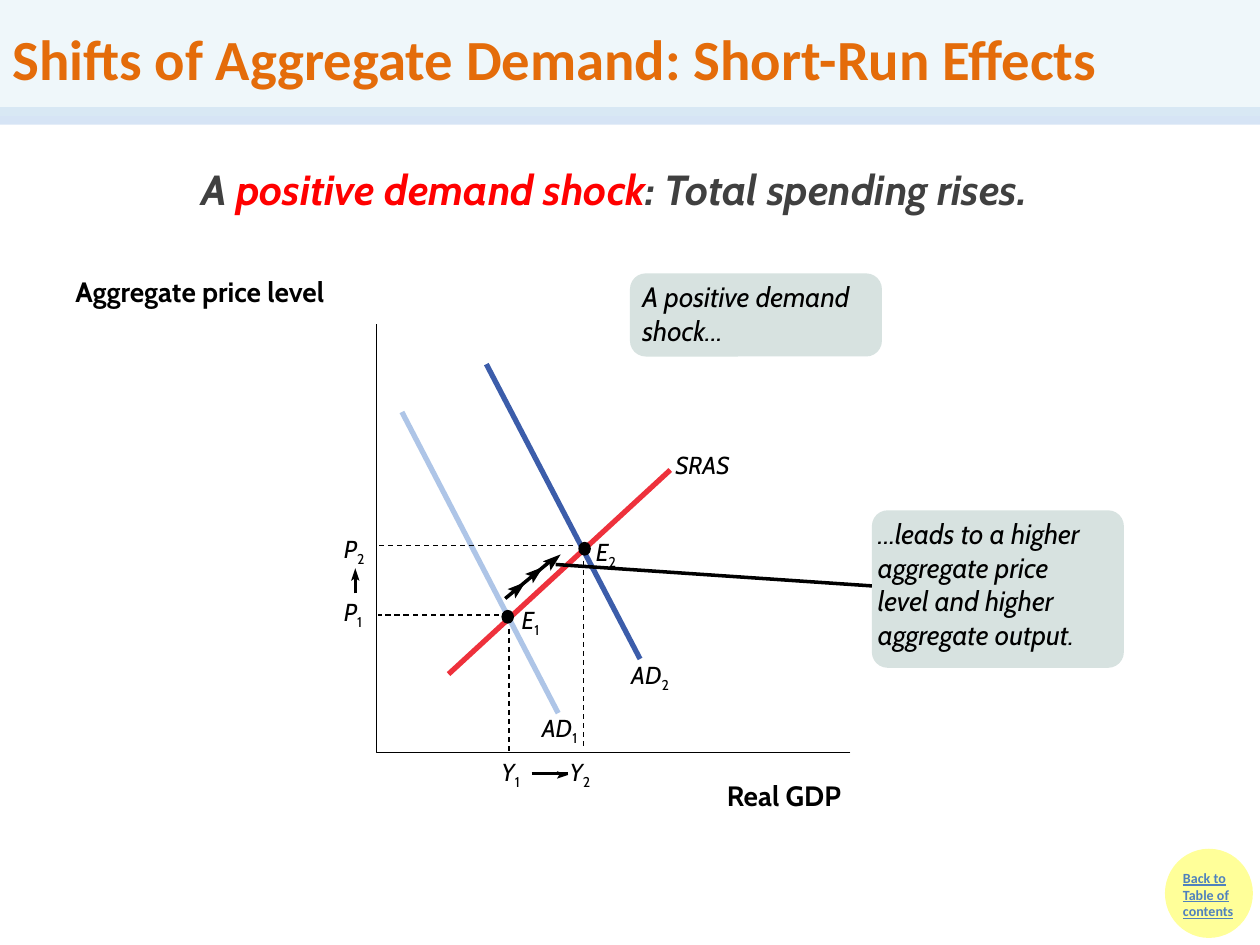
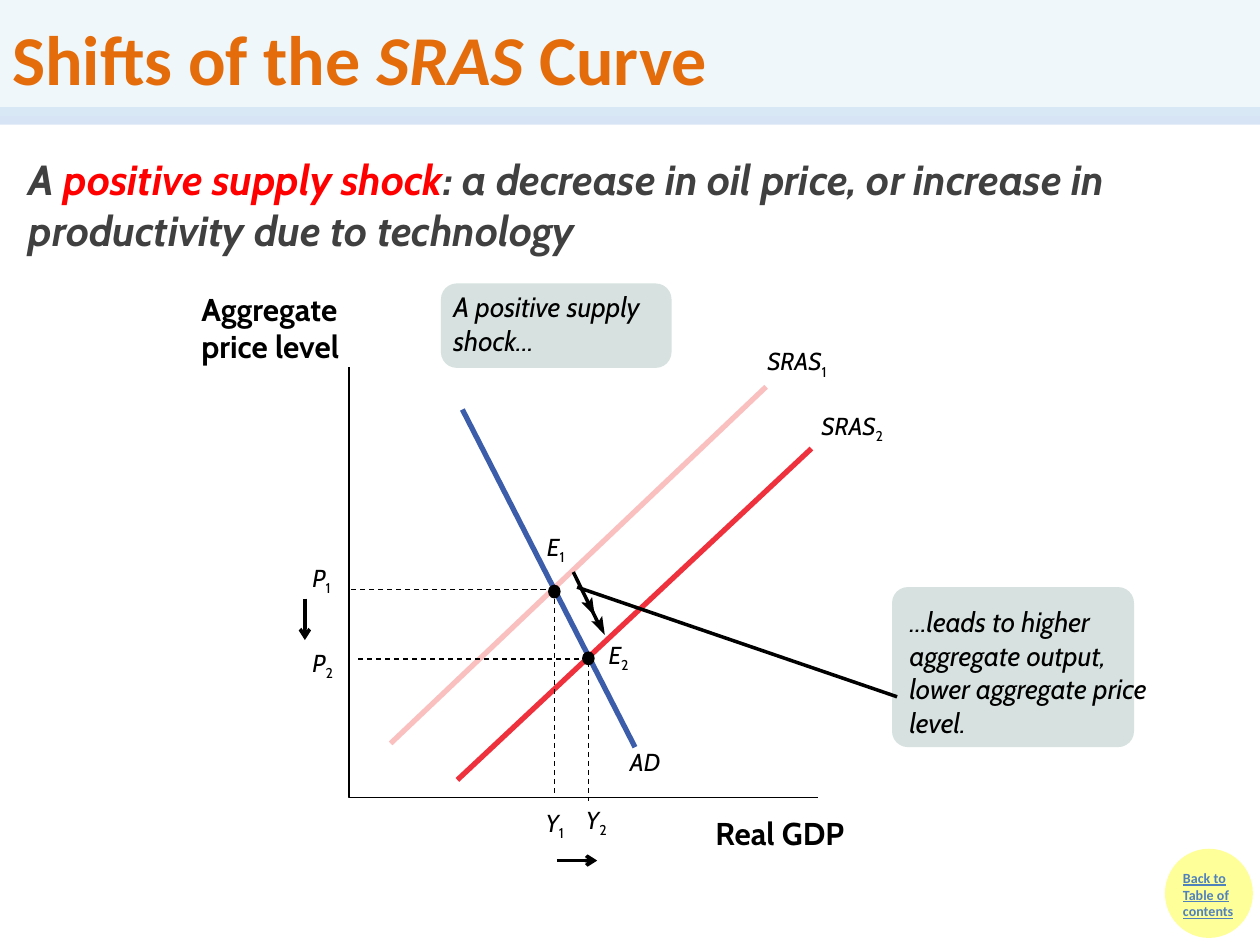
from dataclasses import dataclass
from math import hypot

from lxml import etree
from pptx import Presentation
from pptx import util as u
from pptx.dml.color import RGBColor
from pptx.enum import dml, shapes, text
from pptx.oxml.ns import qn

COLUMNS, ROWS = 100, 75  # the grid laid over each slide
WIDTH, HEIGHT = u.Inches(10), u.Inches(7.5)
Point = tuple[float, float]
Area = tuple[float, float, float, float]  # column, row, columns, rows


@dataclass(frozen=True)
class Theme:
    ink: str = "000000"
    body: str = "404040"
    accent: str = "FF0000"
    title: str = "E46C0A"
    title_fill: str = "DBEEF4"
    band: str = "C6D9F1"
    badge: str = "FFFF99"
    link: str = "4F81BD"
    callout: str = "D7E2E0"
    demand: str = "3C5DAA"
    old_demand: str = "AEC5E7"
    supply: str = "EE313C"
    old_supply: str = "FAC0BF"
    heading_font: str = "Calibri"
    body_font: str = "Cabin"
    lead_size: float = 24
    callout_size: float = 16
    label_size: float = 14
    badge_size: float = 8
    hairline: float = 0
    guide: float = 0.75
    curve: float = 3
    band_width: float = 10


THEME = Theme()


@dataclass(frozen=True)
class Span:
    text: str
    color: str = THEME.ink
    italic: bool = False
    subscript: bool = False


@dataclass(frozen=True)
class Curve:
    start: Point
    end: Point
    color: str


@dataclass(frozen=True)
class Arrow:
    """A thin arrow: solid heads at the given tips, or an open head at its end."""
    start: Point
    end: Point
    tips: tuple[Point, ...] = ()
    head: float = 1.45


@dataclass(frozen=True)
class Label:
    at: Point
    letters: str
    index: str = ""
    width: float = 2.1


@dataclass(frozen=True)
class Caption:
    area: Area
    text: str


@dataclass(frozen=True)
class Callout:
    panel: Area
    text_area: Area
    lines: tuple[str, ...]
    pointer: tuple[Point, Point] | None = None


@dataclass(frozen=True)
class Diagram:
    title: tuple[Span, ...]
    title_size: float
    lead: tuple[Span, ...]
    lead_area: Area
    axes: tuple[Point, Point, Point]
    curves: tuple[Curve, ...]
    guides: tuple[tuple[Point, Point], ...]
    equilibria: tuple[Point, ...]
    arrows: tuple[Arrow, ...]
    labels: tuple[Label, ...]
    caption_size: float
    captions: tuple[Caption, ...]
    callouts: tuple[Callout, ...]


# Grid and formatting helpers
def col(n: float) -> int:
    return round(WIDTH * n / COLUMNS)


def row(n: float) -> int:
    return round(HEIGHT * n / ROWS)


def place(area: Area) -> tuple[int, int, int, int]:
    left, top, width, height = area
    return col(left), row(top), col(width), row(height)


def apply(target, values: dict) -> None:
    for name, value in values.items():
        setattr(target, name, value)


def paint(fill, color: str, alpha: int = 100) -> None:
    fill.solid()
    fill.fore_color.rgb = RGBColor.from_string(color)
    if alpha < 100:
        rgb = fill._xPr.find(".//" + qn("a:srgbClr"))
        etree.SubElement(rgb, qn("a:alpha"), val=str(alpha * 1000))


def add_panel(page, kind, area: Area, color: str, alpha: int = 100):
    panel = page.shapes.add_shape(kind, *place(area))
    panel.shadow.inherit = False
    paint(panel.fill, color, alpha)
    panel.line.fill.background()
    return panel


def add_line(page, start: Point, end: Point, color: str = THEME.ink,
             width: float = THEME.hairline, alpha: int = 100):
    line = page.shapes.add_connector(shapes.MSO_CONNECTOR.STRAIGHT, col(start[0]),
                                     row(start[1]), col(end[0]), row(end[1]))
    line.line.width = u.Pt(width)
    paint(line.line.fill, color, alpha)
    etree.SubElement(line._element.spPr, qn("a:effectLst"))
    return line


def add_outline(page, points: list[Point], closed: bool):
    grid = [(col(x), row(y)) for x, y in points]
    builder = page.shapes.build_freeform(*grid[0])
    builder.add_line_segments(grid[1:], close=closed)
    outline = builder.convert_to_shape()
    outline.shadow.inherit = False
    return outline


def write(box, paragraphs: list[tuple[Span, ...]], size: float, **formats) -> None:
    values = {"name": THEME.body_font, "size": u.Pt(size)} | formats
    for number, spans in enumerate(paragraphs):
        para = box.text_frame.paragraphs[0] if number == 0 else box.text_frame.add_paragraph()
        para.alignment = text.PP_ALIGN.LEFT
        for part in spans:
            span = para.add_run()
            span.text = part.text
            apply(span.font, {"italic": part.italic} | values)
            span.font.color.rgb = RGBColor.from_string(part.color)
            if part.subscript:
                span._r.get_or_add_rPr().set("baseline", "-25000")


def add_text(page, area: Area, paragraphs: list[tuple[Span, ...]], size: float,
             wrap: bool = True, inset: bool = True, **formats) -> None:
    box = page.shapes.add_textbox(*place(area))
    frame = {"word_wrap": wrap, "auto_size": text.MSO_AUTO_SIZE.SHAPE_TO_FIT_TEXT}
    if not inset:
        frame |= dict.fromkeys(("margin_left", "margin_top", "margin_right", "margin_bottom"), 0)
    apply(box.text_frame, frame)
    write(box, paragraphs, size, **formats)


# Parts of a slide
def add_frame(page, title: tuple[Span, ...], size: float) -> None:
    add_line(page, (0, 9.2), (COLUMNS, 9.2), THEME.band, THEME.band_width, 71)
    badge = add_panel(page, shapes.MSO_SHAPE.OVAL, (92.6, 67.5, 6.7, 6.8), THEME.badge)
    paint(badge.line.fill, THEME.badge)
    badge.line.width = u.Pt(2)
    add_text(page, (92.9, 68.5, 7.2, 6.7), [(Span("Back to Table of contents", THEME.link),)],
             THEME.badge_size, name=THEME.heading_font, bold=True, underline=True)
    header = add_panel(page, shapes.MSO_SHAPE.RECTANGLE, (0, 0, COLUMNS, 9.2),
                       THEME.title_fill, 44)
    apply(header.text_frame, {"word_wrap": True, "vertical_anchor": text.MSO_ANCHOR.MIDDLE})
    write(header, [title], size, name=THEME.heading_font, bold=True)


def add_arrow(page, arrow: Arrow) -> None:
    line = add_line(page, arrow.start, arrow.end)
    if not arrow.tips:
        etree.SubElement(line.line._get_or_add_ln(), qn("a:tailEnd"), type="arrow")
    dx, dy = arrow.end[0] - arrow.start[0], arrow.end[1] - arrow.start[1]
    dx, dy = dx / hypot(dx, dy), dy / hypot(dx, dy)
    for x, y in arrow.tips:
        shares = [(0, 0), (1, 0.33), (0.8, 0), (1, -0.33)]  # back from the tip, sideways
        head = add_outline(page, [(x - arrow.head * (back * dx + side * dy),
                                   y - arrow.head * (back * dy - side * dx))
                                  for back, side in shares], closed=True)
        paint(head.fill, THEME.ink)
        head.line.fill.background()


def add_callout(page, callout: Callout) -> None:
    panel = add_panel(page, shapes.MSO_SHAPE.ROUNDED_RECTANGLE, callout.panel, THEME.callout)
    panel.adjustments[0] = 1.25 / min(callout.panel[2:])
    if callout.pointer:
        add_line(page, *callout.pointer)
    add_text(page, callout.text_area, [(Span(line),) for line in callout.lines],
             THEME.callout_size, italic=True)


def add_diagram(deck, diagram: Diagram) -> None:
    page = deck.slides.add_slide(deck.slide_layouts[6])
    add_frame(page, diagram.title, diagram.title_size)
    add_text(page, diagram.lead_area, [diagram.lead], THEME.lead_size, bold=True, italic=True)
    # Axes, curves and guides
    axes = add_outline(page, list(diagram.axes), closed=False)
    axes.fill.background()
    paint(axes.line.fill, THEME.ink)
    axes.line.width = u.Pt(THEME.hairline)
    for curve in diagram.curves:
        add_line(page, curve.start, curve.end, curve.color, THEME.curve)
    for start, end in diagram.guides:
        guide = add_line(page, start, end, width=THEME.guide)
        guide.line.dash_style = dml.MSO_LINE.DASH
    for x, y in diagram.equilibria:
        add_panel(page, shapes.MSO_SHAPE.OVAL, (x - 0.5, y - 0.55, 1, 1.1), THEME.ink)
    for arrow in diagram.arrows:
        add_arrow(page, arrow)
    # Wording
    for label in diagram.labels:
        spans = [Span(label.letters, italic=True)]
        if label.index:
            spans.append(Span(label.index, subscript=True))
        add_text(page, (*label.at, label.width, 2.4), [tuple(spans)], THEME.label_size,
                 wrap=False, inset=False)
    for caption in diagram.captions:
        add_text(page, caption.area, [(Span(caption.text),)], diagram.caption_size, bold=True)
    for callout in diagram.callouts:
        add_callout(page, callout)


DEMAND_SHOCK = Diagram(
    title=(Span("Shifts of Aggregate Demand: Short-Run Effects", THEME.title),),
    title_size=32.4,
    lead=(Span("A ", THEME.body), Span("positive demand shock", THEME.accent),
          Span(": Total spending rises.", THEME.body)),
    lead_area=(15, 12.5, 78, 5),
    axes=((67.5, 59.7), (29.9, 59.7), (29.9, 25.7)),
    curves=(Curve((50.8, 52.3), (38.6, 28.9), THEME.demand),
            Curve((35.6, 53.5), (53.2, 37.3), THEME.supply),
            Curve((44.3, 56.6), (31.9, 32.7), THEME.old_demand)),
    guides=(((39.6, 48.8), (30, 48.8)), ((40.4, 49.9), (40.4, 59.6)),
            ((45.5, 43.3), (29.9, 43.3)), ((46.3, 44.5), (46.3, 59.5))),
    equilibria=((40.3, 48.95), (46.4, 43.55)),
    arrows=(Arrow((40.1, 47.5), (43.6, 44.6), ((41.7, 46.2), (43.1, 45), (44.5, 44))),
            Arrow((28.2, 47.1), (28.2, 45.8), ((28.2, 45.1),), 1),
            Arrow((42.2, 61.4), (45.1, 61.4), ((45.1, 61.5),), 0.9)),
    labels=(Label((39.8, 60.1), "Y", "1"), Label((45.2, 60.1), "Y", "2"),
            Label((41.4, 48), "E", "1"), Label((47.3, 42.6), "E", "2"),
            Label((27.3, 47.4), "P", "1"), Label((27.3, 42.4), "P", "2"),
            Label((43, 56.6), "AD", "1", 3.5), Label((50.1, 52.4), "AD", "2", 3.5),
            Label((53.6, 35.7), "SRAS", width=5.4)),
    caption_size=16,
    captions=(Caption((56.7, 61.3, 15.8, 3.7), "Real GDP"),
              Caption((5, 21.3, 25.8, 3.7), "Aggregate price level")),
    callouts=(Callout((50, 21.7, 20, 6.6), (50, 21.7, 22, 6.4),
                      ("A positive demand shock...",)),
              Callout((69.2, 40.5, 20, 12.5), (68.7, 40.5, 21.3, 11.7),
                      ("...leads to a higher", "aggregate price", "level and higher",
                       "aggregate output."), ((69.2, 46.5), (44.1, 44.8)))),
)

SUPPLY_SHOCK = Diagram(
    title=(Span("Shifts of the ", THEME.title), Span("SRAS", THEME.title, italic=True),
           Span(" Curve", THEME.title)),
    title_size=40,
    lead=(Span("A ", THEME.body), Span("positive supply shock", THEME.accent),
          Span(": a decrease in oil price, or increase in productivity due to technology",
               THEME.body)),
    lead_area=(1.3, 11.7, 98.7, 9.1),
    axes=((64.9, 63.3), (27.7, 63.3), (27.7, 29.1)),
    curves=(Curve((31, 59), (60.8, 30.7), THEME.old_supply),
            Curve((36.3, 61.9), (64.4, 35.6), THEME.supply),
            Curve((50.4, 59.3), (36.7, 32.5), THEME.demand)),
    guides=(((44, 47.5), (44, 63.2)), ((43.3, 46.8), (27.8, 46.8)),
            ((46.7, 52.5), (46.7, 63.6)), ((46.7, 52.3), (28.3, 52.3))),
    equilibria=((44, 46.95), (46.7, 52.25)),
    arrows=(Arrow((45.5, 45.4), (47.5, 49.5), ((47.2, 48.9), (48, 50.4))),
            Arrow((44.2, 68.3), (47.4, 68.3)), Arrow((24.2, 47.5), (24.2, 50.8))),
    labels=(Label((43.3, 64.1), "Y", "1"), Label((46.5, 63.9), "Y", "2"),
            Label((43.4, 42.2), "E", "1"), Label((48.3, 50.8), "E", "2"),
            Label((24.8, 44.7), "P", "1"), Label((24.8, 51.4), "P", "2"),
            Label((50, 59.3), "AD", width=2.7), Label((60.9, 27.5), "SRAS", "1", 5.4),
            Label((65.2, 32.6), "SRAS", "2", 5.4)),
    caption_size=18,
    captions=(Caption((55.8, 64.1, 15.8, 4), "Real GDP"),
              Caption((15, 22.5, 16.9, 7), "Aggregate price level")),
    callouts=(Callout((35, 22.5, 18.3, 6.7), (35, 22.5, 22, 6.4),
                      ("A positive supply shock...",)),
              Callout((70.8, 46.6, 19.2, 12.7), (71.2, 47.5, 22.2, 11.8),
                      ("...leads to higher", "aggregate output, lower aggregate price level."),
                      ((71.2, 55.3), (45.8, 46.6)))),
)


def main() -> None:
    deck = Presentation()
    apply(deck, {"slide_width": WIDTH, "slide_height": HEIGHT})
    for diagram in (DEMAND_SHOCK, SUPPLY_SHOCK):
        add_diagram(deck, diagram)
    deck.save("out.pptx")


if __name__ == "__main__":
    main()
